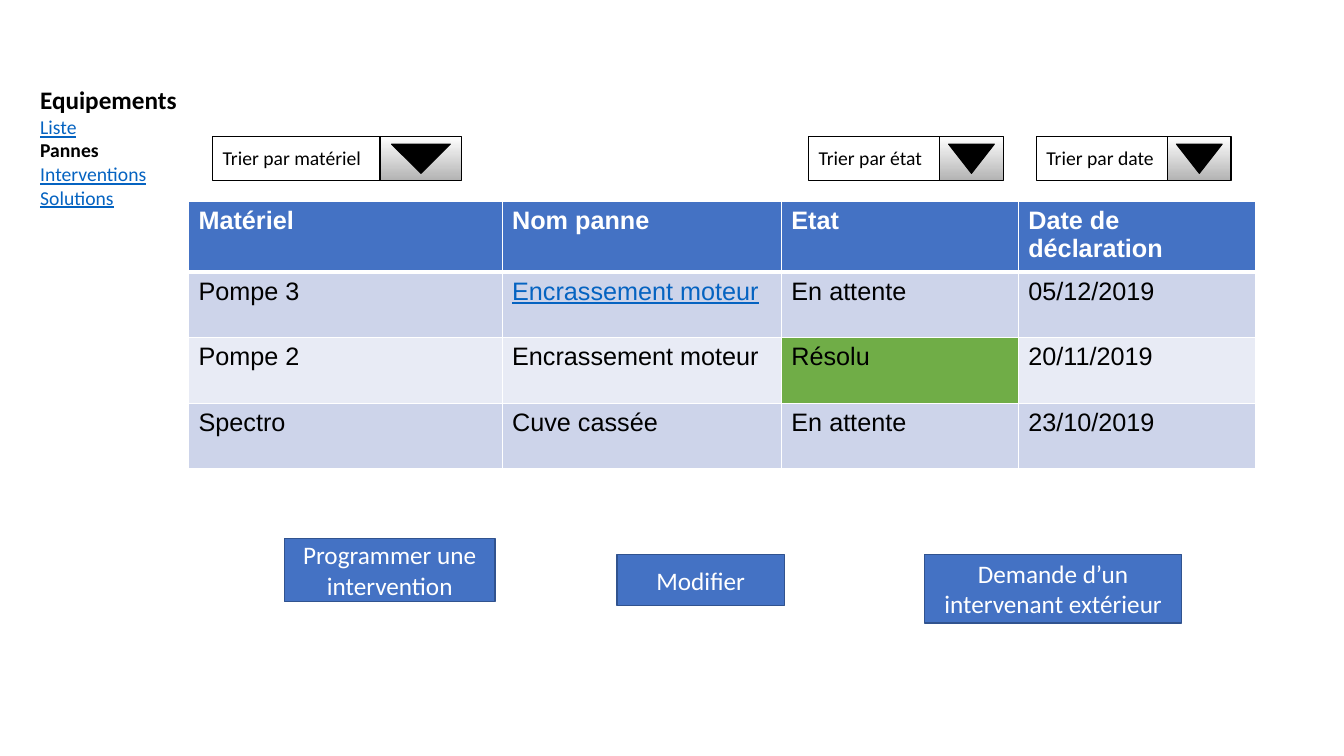
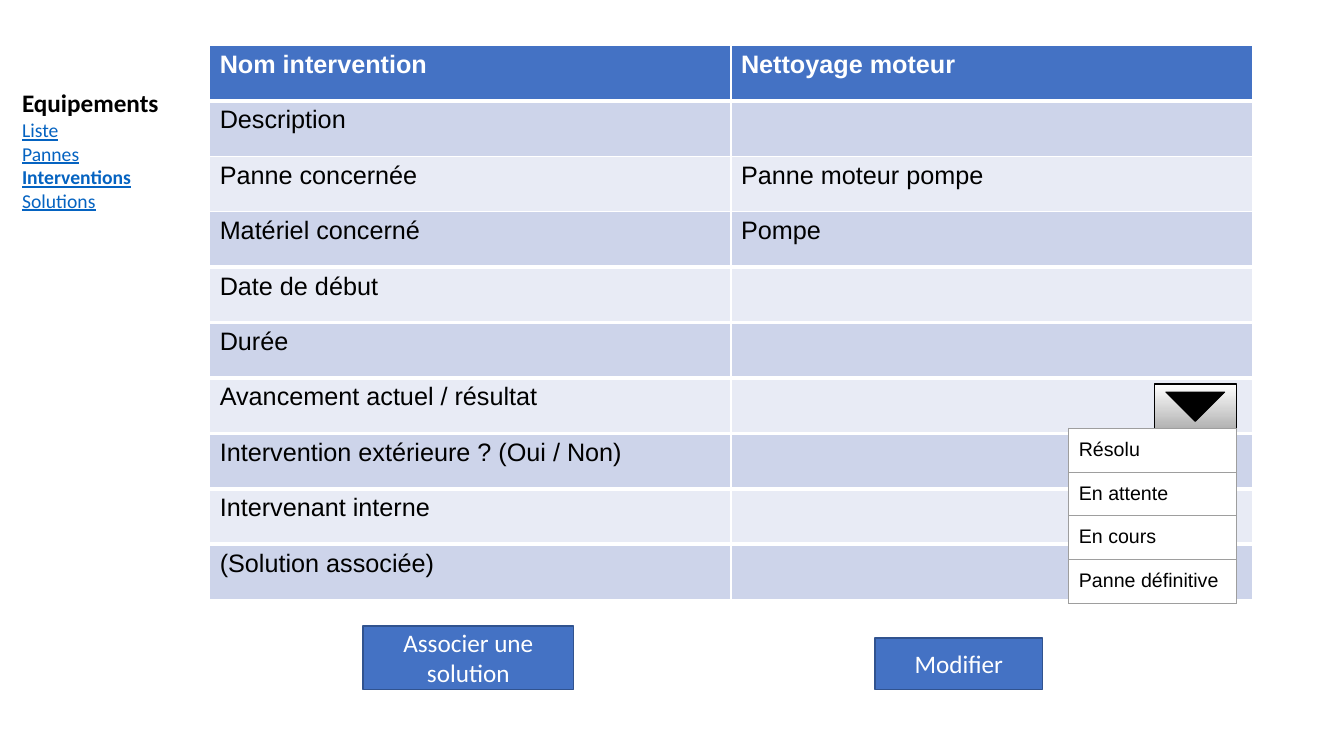
"""Build two mock-up screens of an equipment maintenance application."""
import pptx
import pptx.dml.color
import pptx.enum.shapes
import pptx.enum.text
import pptx.oxml
import pptx.oxml.ns
import pptx.util

Inches = pptx.util.Inches
Pt = pptx.util.Pt
RGBColor = pptx.dml.color.RGBColor
SHAPE = pptx.enum.shapes.MSO_SHAPE
ANCHOR = pptx.enum.text.MSO_ANCHOR
ALIGN = pptx.enum.text.PP_ALIGN

BLACK = RGBColor(0x00, 0x00, 0x00)
WHITE = RGBColor(0xFF, 0xFF, 0xFF)
BLUE = RGBColor(0x44, 0x72, 0xC4)
DARK_BLUE = RGBColor(0x31, 0x53, 0x8F)
LINK = RGBColor(0x05, 0x63, 0xC1)
BAND = RGBColor(0xCD, 0xD4, 0xEA)
LIGHT_BAND = RGBColor(0xE8, 0xEB, 0xF5)
GREEN = RGBColor(0x70, 0xAD, 0x47)
GREY = RGBColor(0xB3, 0xB3, 0xB3)
BORDER_GREY = RGBColor(0x9E, 0x9E, 0x9E)


class Screen:
    """Hold the shared style and the slide being drawn."""

    body_font = "Calibri"
    table_font = "Arial"
    big, small = 18, 14
    pages = ["Liste", "Pannes", "Interventions", "Solutions"]

    def __init__(self, prs):
        self.s = prs.slides.add_slide(prs.slide_layouts[6])

    def format(self, p, size, color, font=body_font, bold=False, underline=False):
        for r in p.runs:
            r.font.name = font
            r.font.size = Pt(size)
            r.font.color.rgb = color
            r.font.bold = bold
            r.font.underline = underline

    def shape(self, shapes, kind, x, y, w, h, fill=None, line=BLACK, weight=0.75):
        sp = shapes.add_shape(kind, Inches(x), Inches(y), Inches(w), Inches(h))
        sp.shadow.inherit = False
        if fill is None:
            sp.fill.background()
        else:
            sp.fill.solid()
            sp.fill.fore_color.rgb = fill
        sp.line.color.rgb = line
        sp.line.width = Pt(weight)
        return sp

    def button(self, text, x, y, w, h):
        sp = self.shape(self.s.shapes, SHAPE.RECTANGLE, x, y, w, h, BLUE, DARK_BLUE, 1)
        tf = sp.text_frame
        tf.text = text
        tf.word_wrap = True
        tf.vertical_anchor = ANCHOR.MIDDLE
        tf.paragraphs[0].alignment = ALIGN.CENTER
        self.format(tf.paragraphs[0], self.big, WHITE)

    def menu(self, x, y, current, current_color, current_underline):
        sp = self.s.shapes.add_textbox(Inches(x), Inches(y), Inches(2.58), Inches(1.82))
        tf = sp.text_frame
        tf.word_wrap = True
        tf.text = "\n".join(["Equipements"] + self.pages)
        title, *links = tf.paragraphs
        self.format(title, self.big, BLACK, bold=True)
        for p in links:
            if p.text == current:
                self.format(p, self.small, current_color, bold=True, underline=current_underline)
            else:
                self.format(p, self.small, LINK, underline=True)

    def dropdown(self, x, y, arrow_w, text="", label_w=0):
        h = 0.44
        shapes = self.s.shapes.add_group_shape().shapes
        if text:
            label = self.shape(shapes, SHAPE.RECTANGLE, x, y, label_w, h)
            tf = label.text_frame
            tf.text = text
            tf.word_wrap = True
            tf.vertical_anchor = ANCHOR.TOP
            tf.margin_top = tf.margin_bottom = Inches(0.1)
            tf.paragraphs[0].alignment = ALIGN.LEFT
            self.format(tf.paragraphs[0], self.small, BLACK)
        x += label_w
        box = self.shape(shapes, SHAPE.RECTANGLE, x, y, arrow_w, h)
        box.fill.gradient()
        box.fill.gradient_angle = 270
        for stop, position, color in zip(box.fill.gradient_stops, (0, 1), (WHITE, GREY)):
            stop.position = position
            stop.color.rgb = color
        w = 0.72 * arrow_w
        arrow = self.shape(shapes, SHAPE.ISOSCELES_TRIANGLE, x + (arrow_w - w) / 2, y + 0.08, w, 0.29, BLACK)
        arrow.rotation = 180

    def border(self, cell, color, weight, top, bottom):
        tcPr = cell._tc.get_or_add_tcPr()
        for side, width in (("L", weight), ("R", weight), ("T", top), ("B", bottom)):
            tcPr.append(pptx.oxml.parse_xml(
                f'<a:ln{side} {pptx.oxml.ns.nsdecls("a")} w="{Pt(width)}"><a:solidFill>'
                f'<a:srgbClr val="{color}"/></a:solidFill></a:ln{side}>'))

    def grid(self, rows, x, y, widths, row_h):
        frame = self.s.shapes.add_table(
            len(rows), len(widths), Inches(x), Inches(y), Inches(sum(widths)), Inches(row_h * len(rows)))
        table = frame.table
        for column, w in zip(table.columns, widths):
            column.width = Inches(w)
        for row, texts in zip(table.rows, rows):
            row.height = Inches(row_h)
            for cell, text in zip(row.cells, texts):
                cell.text = text
        return table

    def data_table(self, rows, x, y, widths, row_h, thick_below):
        table = self.grid(rows, x, y, widths, row_h)
        for i, row in enumerate(table.rows):
            header = i == 0
            fill = BLUE if header else BAND if i % 2 else LIGHT_BAND
            top, bottom = (3 if edge in thick_below else 1 for edge in (i - 1, i))
            for cell in row.cells:
                self.border(cell, WHITE, 1, top, bottom)
                cell.fill.solid()
                cell.fill.fore_color.rgb = fill
                self.format(cell.text_frame.paragraphs[0], self.big,
                            WHITE if header else BLACK, self.table_font, header)
        return table

    def options(self, texts, x, y, w):
        table = self.grid([[text] for text in texts], x, y, [w], 0.42)
        for cell in table.iter_cells():
            cell.margin_top = cell.margin_bottom = Inches(0.1)
            self.border(cell, BORDER_GREY, 0.75, 0.75, 0.75)
            cell.fill.solid()
            cell.fill.fore_color.rgb = WHITE
            self.format(cell.text_frame.paragraphs[0], self.small, BLACK, self.table_font)


def breakdowns(prs):
    """Draw the list of breakdowns."""
    screen = Screen(prs)
    screen.button("Programmer une intervention", 2.82, 5.34, 2.09, 0.63)
    screen.button("Demande d’un intervenant extérieur", 9.17, 5.5, 2.55, 0.68)
    screen.button("Modifier", 6.12, 5.5, 1.66, 0.51)
    screen.menu(0.3, 0.79, "Pannes", BLACK, False)
    table = screen.data_table([
        ["Matériel", "Nom panne", "Etat", "Date de déclaration"],
        ["Pompe 3", "Encrassement moteur", "En attente", "05/12/2019"],
        ["Pompe 2", "Encrassement moteur", "Résolu", "20/11/2019"],
        ["Spectro", "Cuve cassée", "En attente", "23/10/2019"],
    ], 1.87, 2, [3.11, 2.77, 2.35, 2.35], 0.65, {0})
    linked = table.cell(1, 1).text_frame.paragraphs[0]
    screen.format(linked, screen.big, LINK, screen.table_font, underline=True)
    table.cell(2, 2).fill.fore_color.rgb = GREEN
    screen.dropdown(2.11, 1.35, 0.81, "Trier par matériel", 1.66)
    screen.dropdown(10.28, 1.35, 0.63, "Trier par date", 1.3)
    screen.dropdown(8.02, 1.35, 0.63, "Trier par état", 1.3)


def intervention(prs):
    """Draw the form of one intervention."""
    screen = Screen(prs)
    screen.button("Associer une solution", 3.6, 6.21, 2.09, 0.63)
    screen.button("Modifier", 8.68, 6.33, 1.66, 0.51)
    screen.menu(0.12, 0.82, "Interventions", LINK, True)
    screen.data_table([
        ["Nom intervention", "Nettoyage moteur"],
        ["Description", ""],
        ["Panne concernée", "Panne moteur pompe"],
        ["Matériel concerné", "Pompe"],
        ["Date de début", ""],
        ["Durée", ""],
        ["Avancement actuel / résultat", ""],
        ["Intervention extérieure ? (Oui / Non)", ""],
        ["Intervenant interne", ""],
        ["(Solution associée)", ""],
    ], 2.08, 0.45, [5.17, 5.17], 0.55, {0, *range(3, 9)})
    screen.dropdown(11.45, 3.81, 0.81)
    screen.options(["Résolu", "En attente", "En cours", "Panne définitive"], 10.6, 4.25, 1.66)


def main():
    """Save both screens in one presentation."""
    prs = pptx.Presentation()
    prs.slide_width = Inches(13.33)
    prs.slide_height = Inches(7.5)
    breakdowns(prs)
    intervention(prs)
    prs.save("out.pptx")


if __name__ == "__main__":
    main()
